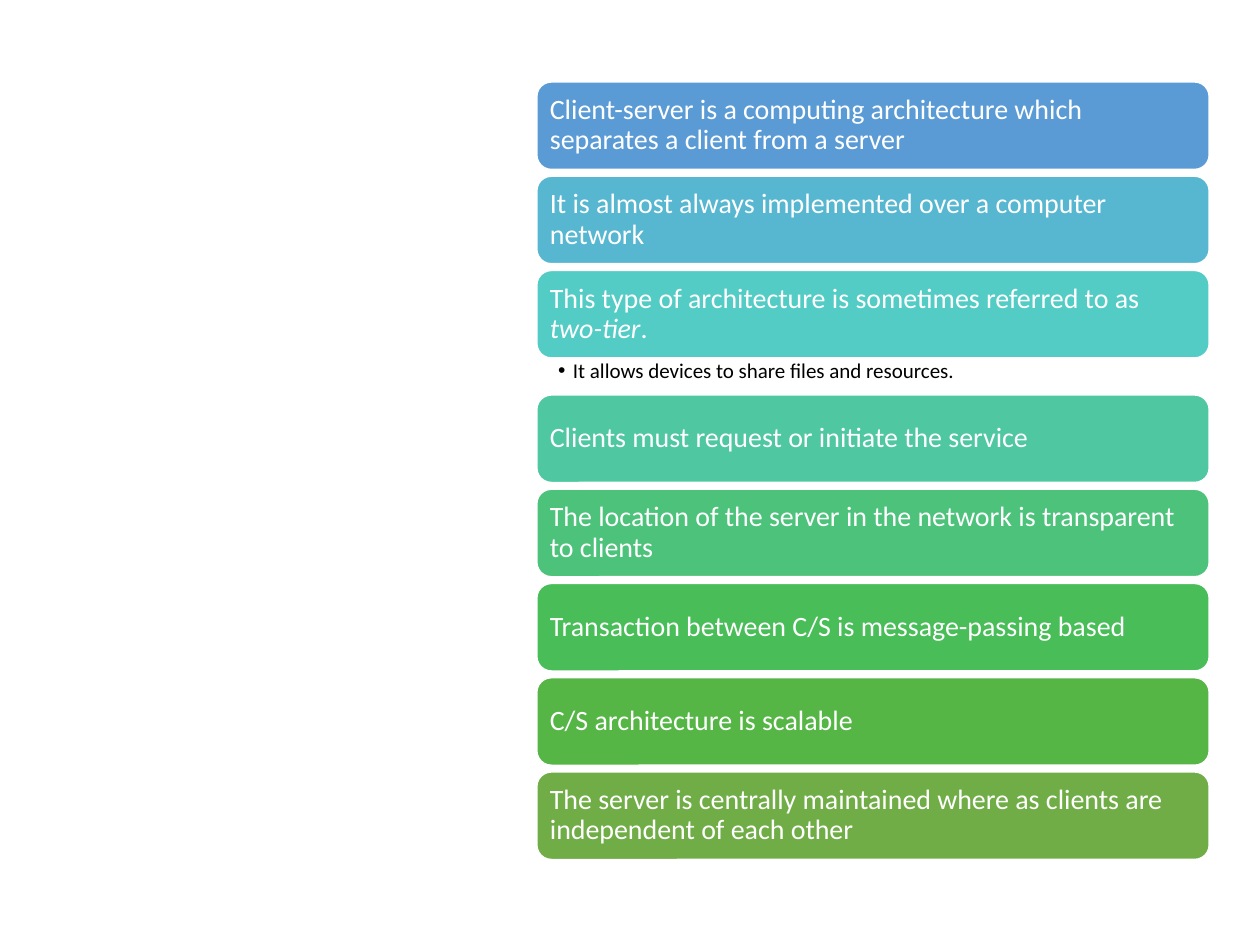
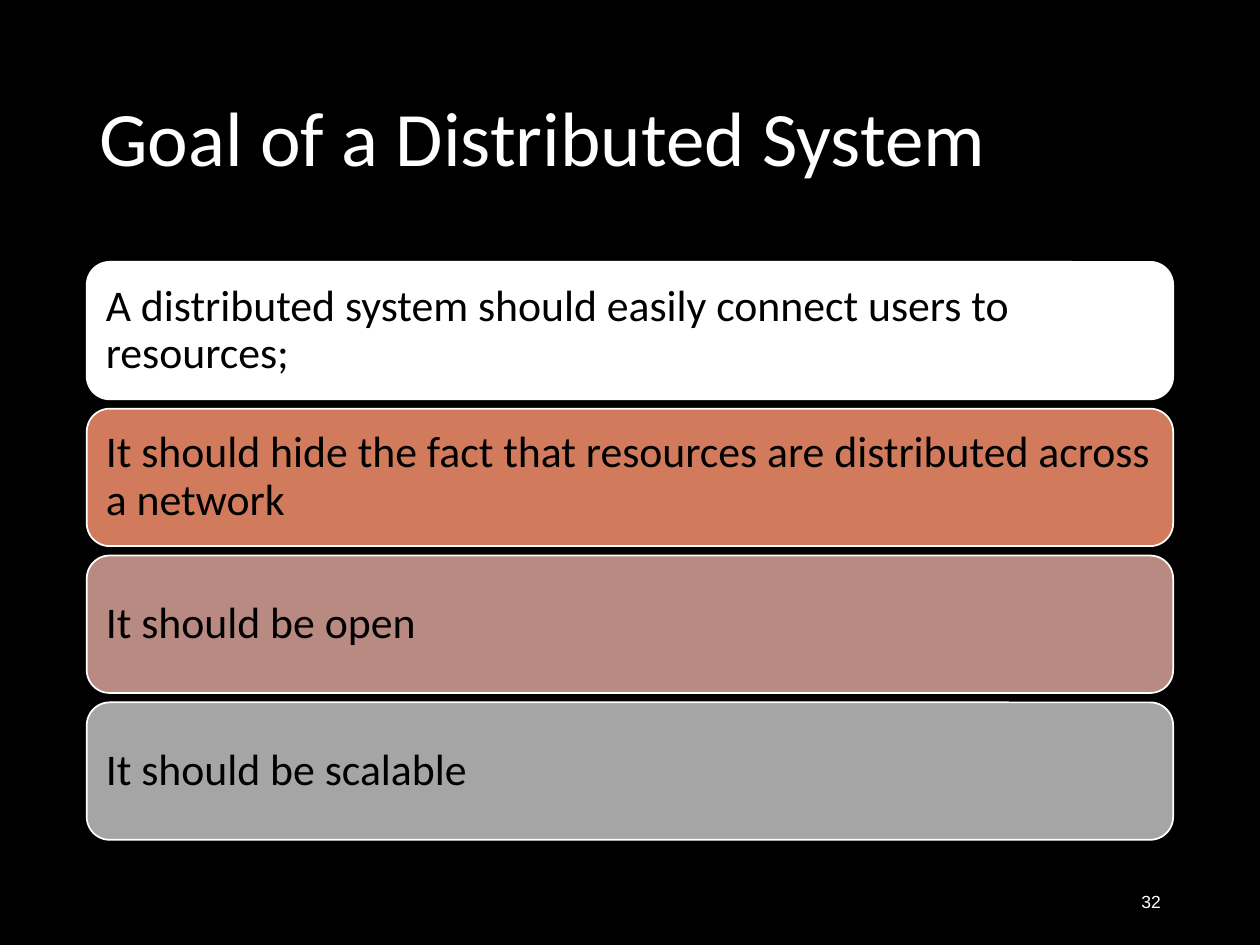
from dataclasses import dataclass
from lxml.etree import SubElement
from pptx import Presentation
from pptx.dml.color import RGBColor as RGB
from pptx.enum.shapes import MSO_SHAPE as SHAPE
from pptx.enum.text import MSO_ANCHOR as ANCHOR, MSO_AUTO_SIZE as AUTO, PP_ALIGN as ALIGN
from pptx.oxml.ns import qn
from pptx.util import Cm, Pt


@dataclass(frozen=True)
class Theme:
    white: str = "FFFFFF"
    black: str = "000000"
    font: str = "Calibri"
    number_font: str = "Arial"
    title: int = 44
    goal: int = 25
    feature: int = 16
    detail: int = 12
    number: int = 10


T = Theme()


def write(sp, runs, size, color, inset, font=T.font, align=ALIGN.LEFT, anchor=ANCHOR.MIDDLE, spacing=0.9):
    tf = sp.text_frame
    left, top, right, bottom = (Cm(v) for v in inset)
    frame = {"word_wrap": True, "auto_size": AUTO.NONE, "vertical_anchor": anchor,
             "margin_left": left, "margin_top": top, "margin_right": right, "margin_bottom": bottom}
    for name, value in frame.items():
        setattr(tf, name, value)
    p = tf.paragraphs[0]
    para = {"alignment": align, "line_spacing": spacing, "space_before": Pt(0), "space_after": Pt(0)}
    for name, value in para.items():
        setattr(p, name, value)
    for text, italic in runs:
        r = p.add_run()
        r.text = text
        for name, value in {"name": font, "size": Pt(size), "italic": italic}.items():
            setattr(r.font, name, value)
        r.font.color.rgb = RGB.from_string(color)
    return p


def add_bar(s, box, fill, runs, size, color, inset):
    sp = s.shapes.add_shape(SHAPE.ROUNDED_RECTANGLE, *(Cm(v) for v in box))
    sp.shadow.inherit = False
    sp.fill.solid()
    sp.fill.fore_color.rgb = RGB.from_string(fill)
    sp.line.color.rgb = RGB.from_string(T.white)
    sp.line.width = Pt(1)
    write(sp, runs, size, color, [inset] * 4)


prs = Presentation()
prs.slide_width, prs.slide_height = Cm(25.4), Cm(19.05)

s = prs.slides.add_slide(prs.slide_layouts[1])
s.background.fill.solid()
s.background.fill.fore_color.rgb = RGB.from_string(T.white)
title = s.shapes.title.element
title.getparent().remove(title)

features = [
    ("5B9BD5", [("Client-server is a computing architecture which separates a client from a server", False)]),
    ("57B7D1", [("It is almost always implemented over a computer network", False)]),
    ("53CCC5", [("This type of architecture is sometimes referred to as ", False), ("two-tier", True), (".", False)]),
    ("4FC7A0", [("Clients must request or initiate the service", False)]),
    ("4CC27B", [("The location of the server in the network is transparent to clients", False)]),
    ("48BD58", [("Transaction between C/S is message-passing based", False)]),
    ("55B646", [("C/S architecture is scalable", False)]),
    ("70AD47", [("The server is centrally maintained where as clients are independent of each other", False)]),
]
detail_after = 2
left, top, width, height, gap, detail_height = 10.82, 1.65, 13.56, 1.77, 0.13, 0.74
for i, (fill, runs) in enumerate(features):
    add_bar(s, (left, top, width, height), fill, runs, T.feature, T.white, 0.18)
    top += height
    if i == detail_after:
        sp = s.placeholders[1]
        place = {"left": left, "top": top, "width": width, "height": detail_height}
        for name, value in place.items():
            setattr(sp, name, Cm(value))
        p = write(sp, [("It allows devices to share files and resources.", False)], T.detail, T.black,
                  (0.43, 0.05, 0.3, 0.05), anchor=ANCHOR.TOP)
        pPr = p._p.get_or_add_pPr()
        pPr.set("marL", str(Cm(0.3)))
        pPr.set("indent", str(-Cm(0.3)))
        SubElement(pPr, qn("a:buChar")).set("char", "•")
        top += detail_height
    else:
        top += gap

s = prs.slides.add_slide(prs.slide_layouts[5])
s.background.fill.solid()
s.background.fill.fore_color.rgb = RGB.from_string(T.black)
left, width = 1.75, 21.9
sp = s.shapes.title
for name, value in {"left": left, "top": 1.01, "width": width, "height": 3.68}.items():
    setattr(sp, name, Cm(value))
write(sp, [("Goal of a Distributed System", False)], T.title, T.white, (0.25, 0.13, 0.25, 0.13))

goals = [
    ("FFFFFF", "A distributed system should easily connect users to resources;"),
    ("D17B5C", "It should hide the fact that resources are distributed across a network"),
    ("B98A82", "It should be open"),
    ("A5A5A5", "It should be scalable"),
]
top, height, gap = 5.28, 2.77, 0.19
for i, (fill, text) in enumerate(goals):
    box = (left, top + i * (height + gap), width, height)
    add_bar(s, box, fill, [(text, False)], T.goal, T.black, 0.25)

sp = s.shapes.add_textbox(Cm(17.94), Cm(17.66), Cm(5.71), Cm(1.01))
write(sp, [("32", False)], T.number, T.white, (0.25, 0.13, 0.25, 0.13),
      font=T.number_font, align=ALIGN.RIGHT, spacing=1.0)

prs.save("out.pptx")
